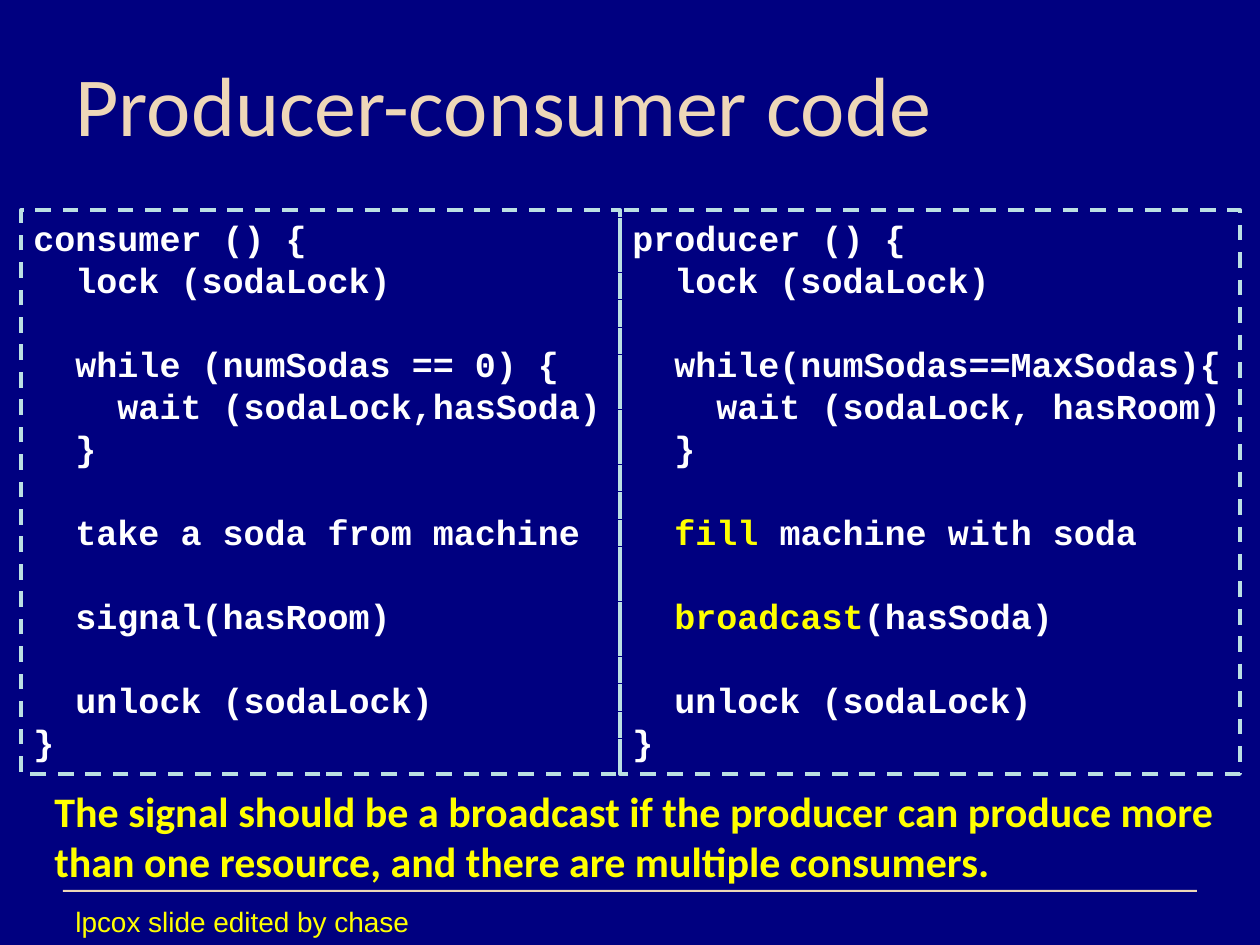
import pptx
import pptx.util
import pptx.dml.color
import pptx.enum.dml
import pptx.enum.shapes
import pptx.enum.text

Pt = pptx.util.Pt
RGBColor = pptx.dml.color.RGBColor
Anchor = pptx.enum.text.MSO_ANCHOR
AutoSize = pptx.enum.text.MSO_AUTO_SIZE
Align = pptx.enum.text.PP_ALIGN
RECTANGLE = pptx.enum.shapes.MSO_SHAPE.RECTANGLE

NAVY = RGBColor(0x00, 0x00, 0x80)
SAND = RGBColor(0xEE, 0xD7, 0xB8)
PALE_BLUE = RGBColor(0xBB, 0xE0, 0xE3)
WHITE = RGBColor(0xFF, 0xFF, 0xFF)
YELLOW = RGBColor(0xFF, 0xFF, 0x00)

PX_PER_INCH = 126
CODE_TOP, CODE_HEIGHT = 210, 564
CODE_PITCH = Pt(24)

CONSUMER = """consumer () {
  lock (sodaLock)

  while (numSodas == 0) {
    wait (sodaLock,hasSoda)
  }

  take a soda from machine

  signal(hasRoom)

  unlock (sodaLock)
}"""

PRODUCER = """producer () {
  lock (sodaLock)

  while(numSodas==MaxSodas){
    wait (sodaLock, hasRoom)
  }

  fill machine with soda

  broadcast(hasSoda)

  unlock (sodaLock)
}"""


def px(*lengths):
    return [round(length * 914400 / PX_PER_INCH) for length in lengths]


def set_font(font, name, size, color, bold=False):
    font.name = name
    font.size = Pt(size)
    font.color.rgb = color
    font.bold = bold


def add_title(page, text):
    title = page.shapes.title
    title.left, title.top, title.width, title.height = px(63, 38, 1134, 130)
    frame = title.text_frame
    frame.text = text
    frame.auto_size = AutoSize.NONE
    frame.vertical_anchor = Anchor.MIDDLE
    para = frame.paragraphs[0]
    para.alignment = Align.LEFT
    set_font(para.font, "Calibri", 48, SAND)


def add_rule(page, left, top, width, height):
    rule = page.shapes.add_shape(RECTANGLE, *px(left, top, width, height))
    rule.shadow.inherit = False
    rule.fill.solid()
    rule.fill.fore_color.rgb = SAND
    rule.line.fill.background()


def add_code_line(para, line, highlights):
    para.alignment = Align.LEFT
    para.line_spacing = CODE_PITCH
    set_font(para.font, "Courier New", 20, WHITE, bold=True)
    word = next((word for word in highlights if word in line), None)
    if word is None:
        para.add_run().text = line
        return
    for part in line.partition(word):
        span = para.add_run()
        span.text = part
        if part == word:
            span.font.color.rgb = YELLOW


def add_code_box(page, left, width, code, highlights=()):
    box = page.shapes.add_shape(RECTANGLE, *px(left, CODE_TOP, width, CODE_HEIGHT))
    box.shadow.inherit = False
    box.fill.background()
    box.line.color.rgb = PALE_BLUE
    box.line.width = Pt(2.25)
    box.line.dash_style = pptx.enum.dml.MSO_LINE.DASH
    frame = box.text_frame
    frame.word_wrap = True
    frame.vertical_anchor = Anchor.TOP
    for index, block in enumerate(code.split("\n\n")):
        for row, line in enumerate(block.split("\n")):
            first = index == 0 and row == 0
            para = frame.paragraphs[0] if first else frame.add_paragraph()
            if index > 0 and row == 0:
                para.space_before = CODE_PITCH
            add_code_line(para, line, highlights)


def add_note(page, bounds, text, name, size, bold=False, wrap=True):
    box = page.shapes.add_textbox(*px(*bounds))
    frame = box.text_frame
    frame.word_wrap = wrap
    frame.text = text
    set_font(frame.paragraphs[0].font, name, size, YELLOW, bold)


def main():
    deck = pptx.Presentation()
    deck.slide_width, deck.slide_height = px(1260, 945)
    page = deck.slides.add_slide(deck.slide_layouts[5])
    page.background.fill.solid()
    page.background.fill.fore_color.rgb = NAVY

    add_rule(page, 63, 890, 1134, 2)
    add_title(page, "Producer-consumer code")
    add_code_box(page, 620, 620, PRODUCER, ("fill", "broadcast"))
    add_code_box(page, 21, 599, CONSUMER)
    add_note(page, (42, 779, 1187, 115),
             "The signal should be a broadcast if the producer can produce more "
             "than one resource, and there are multiple consumers.",
             "Calibri", 24, bold=True)
    add_note(page, (63, 898, 363, 47), "lpcox slide edited by chase",
             "Arial", 16, wrap=False)
    deck.save("out.pptx")


if __name__ == "__main__":
    main()
